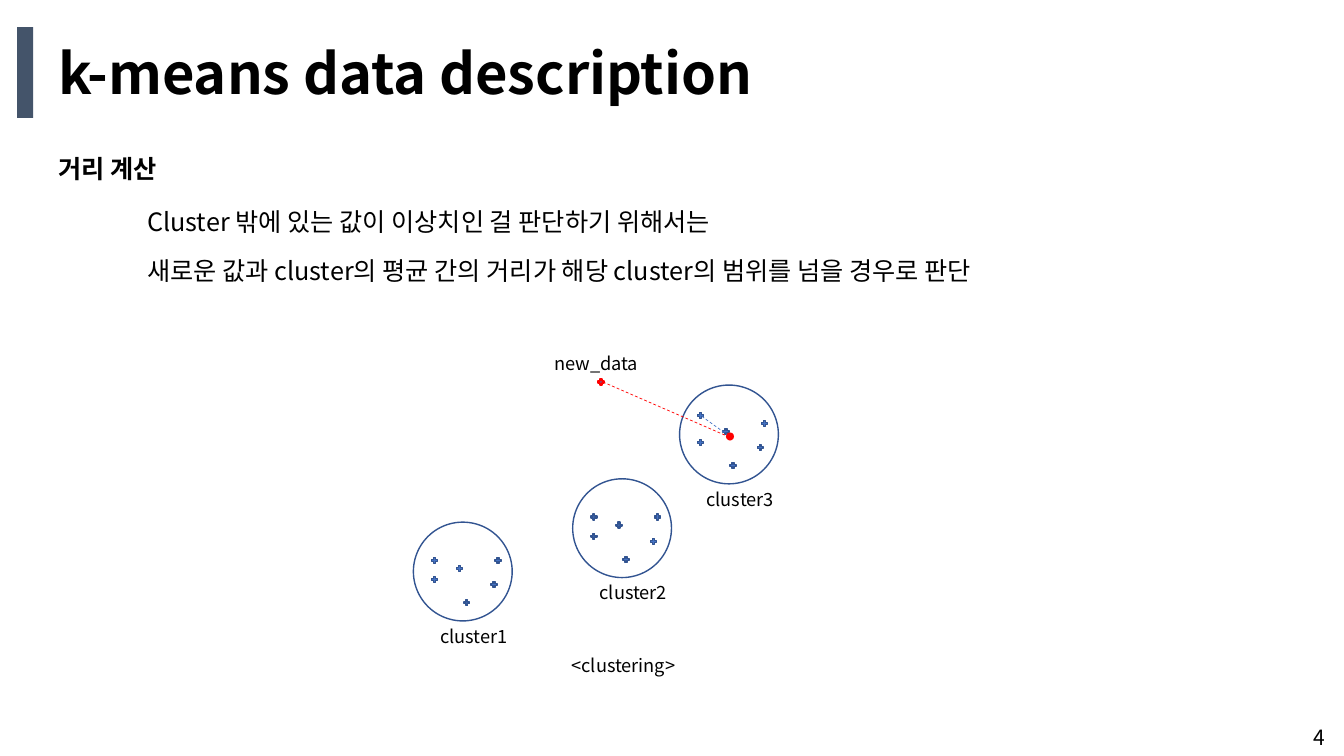
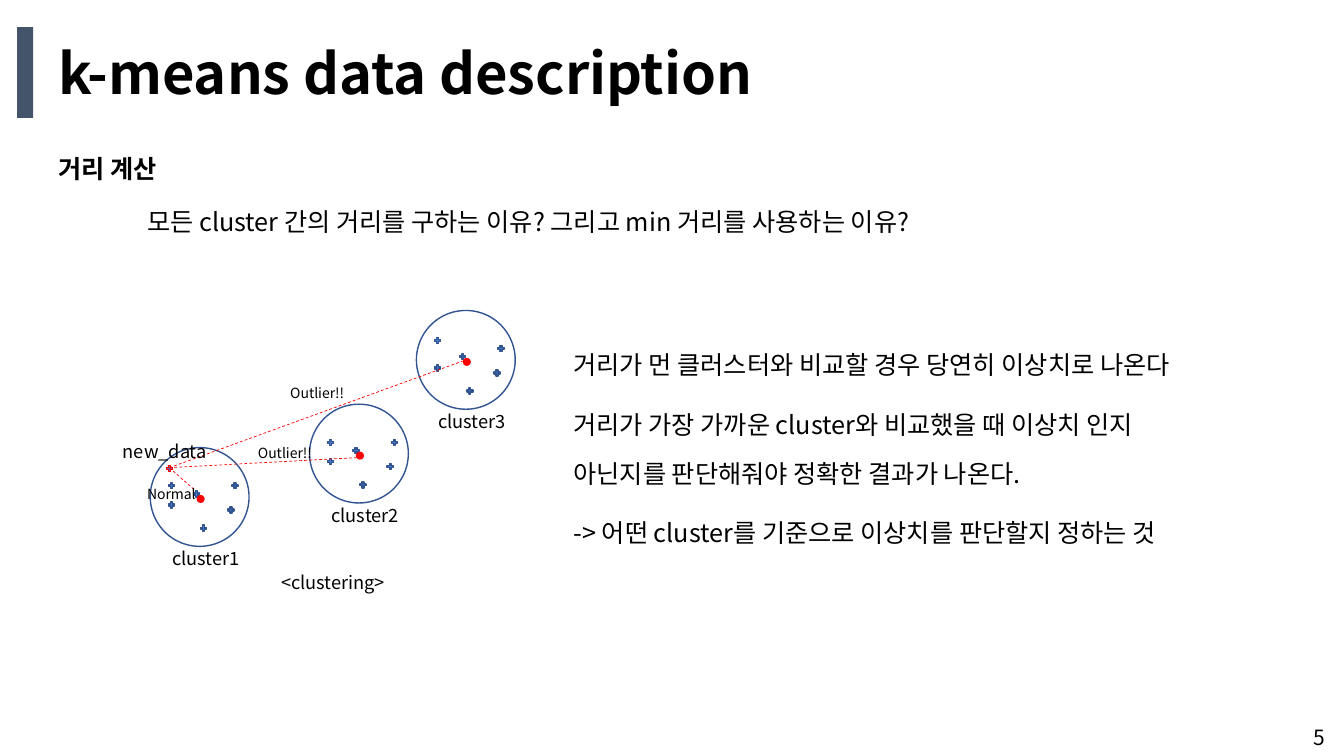
"""Build two slides on cluster distances for k-means outlier detection."""
from dataclasses import dataclass
from typing import NamedTuple

from lxml import etree
from pptx import Presentation
from pptx.dml.color import RGBColor
from pptx.enum import dml, shapes, text
from pptx.oxml import ns
from pptx.util import Inches, Pt

FONT = "Noto Sans CJK KR"
BLACK = RGBColor(0x00, 0x00, 0x00)
SLATE = RGBColor(0x44, 0x54, 0x6A)
BLUE = RGBColor(0x44, 0x72, 0xC4)
NAVY = RGBColor(0x32, 0x54, 0x91)
RED = RGBColor(0xFF, 0x00, 0x00)

LINE_GAP, TOPIC_GAP = 13, 21
CIRCLE, MARK = 0.98, 0.08
CENTER = (0.46, 0.47)
POINTS = [(0.49, 0.76), (0.8, 0.34), (0.76, 0.58), (0.42, 0.42), (0.17, 0.53)]


class Box(NamedTuple):
    left: float
    top: float
    width: float
    height: float


class Line(NamedTuple):
    words: str
    gap: float = 0


class Label(NamedTuple):
    words: str
    box: Box
    size: float = 13


class Ray(NamedTuple):
    start: tuple[float, float]
    end: tuple[float, float]
    color: RGBColor = RED


@dataclass(frozen=True)
class Cluster:
    name: str
    left: float
    top: float
    first_point: tuple[float, float] = (0.17, 0.34)


CLUSTERS = [
    Cluster("cluster1", 4.1, 5.18),
    Cluster("cluster2", 5.68, 4.75),
    Cluster("cluster3", 6.74, 3.82, (0.17, 0.26)),
]


@dataclass(frozen=True)
class Page:
    number: int
    body: list[Line]
    body_height: float
    shift: tuple[float, float]
    name_offset: tuple[float, float]
    centered: list[str]
    new_point: tuple[float, float]
    rays: list[Ray]
    labels: list[Label]


PAGES = [
    Page(
        number=4,
        body=[
            Line("Cluster 밖에 있는 값이 이상치인 걸 판단하기 위해서는"),
            Line("새로운 값과 cluster의 평균 간의 거리가 해당 cluster의 범위를 넘을 경우로 판단", LINE_GAP),
        ],
        body_height=0.88,
        shift=(0, 0),
        name_offset=(0.17, 0.97),
        centered=["cluster3"],
        new_point=(5.92, 3.75),
        rays=[
            Ray((5.98, 3.79), (7.22, 4.33)),
            Ray((6.96, 4.13), (7.21, 4.31), BLUE),
        ],
        labels=[
            Label("<clustering>", Box(5.57, 6.44, 2.69, 0.32)),
            Label("new_data", Box(5.4, 3.45, 1.12, 0.32)),
        ],
    ),
    Page(
        number=5,
        body=[Line("모든 cluster 간의 거리를 구하는 이유? 그리고 min 거리를 사용하는 이유?")],
        body_height=0.4,
        shift=(-2.61, -0.74),
        name_offset=(0.12, 0.94),
        centered=["cluster1", "cluster2", "cluster3"],
        new_point=(1.64, 4.61),
        rays=[
            Ray((1.68, 4.64), (4.65, 3.56)),
            Ray((1.68, 4.64), (3.54, 4.54)),
            Ray((1.68, 4.64), (1.94, 4.87)),
        ],
        labels=[
            Label("<clustering>", Box(2.69, 5.62, 2.69, 0.32)),
            Label("new_data", Box(1.12, 4.32, 1.12, 0.32)),
            Label("Outlier!!", Box(2.78, 3.77, 1.61, 0.27), 10),
            Label("Outlier!!", Box(2.46, 4.36, 1.61, 0.27), 10),
            Label("Normal", Box(1.36, 4.77, 1.61, 0.27), 10),
        ],
    ),
]

CONCLUSION = [
    Line("거리가 먼 클러스터와 비교할 경우 당연히 이상치로 나온다"),
    Line("거리가 가장 가까운 cluster와 비교했을 때 이상치 인지", TOPIC_GAP),
    Line("아닌지를 판단해줘야 정확한 결과가 나온다.", LINE_GAP),
    Line("-> 어떤 cluster를 기준으로 이상치를 판단할지 정하는 것", TOPIC_GAP),
]


def write(holder, lines: list[Line], size: float, bold: bool = False,
          align=text.PP_ALIGN.LEFT, anchor=text.MSO_ANCHOR.TOP) -> None:
    """Fill a text holder with unbulleted paragraphs in the deck's font."""
    frame = holder.text_frame
    frame.word_wrap = True
    frame.auto_size = text.MSO_AUTO_SIZE.NONE
    frame.vertical_anchor = anchor
    for index, line in enumerate(lines):
        paragraph = frame.paragraphs[0] if index == 0 else frame.add_paragraph()
        paragraph.text = line.words
        paragraph.alignment = align
        paragraph.space_before = Pt(line.gap)
        font = paragraph.font
        font.name, font.size, font.bold = FONT, Pt(size), bold
        font.color.rgb = BLACK
        properties = paragraph._p.get_or_add_pPr()
        properties.set("marL", "0")
        properties.set("indent", "0")
        defaults = properties.find(ns.qn("a:defRPr"))
        defaults.find(ns.qn("a:latin")).addnext(
            etree.Element(ns.qn("a:ea"), typeface=FONT))
        defaults.addprevious(etree.Element(ns.qn("a:buNone")))


def place(holder, box: Box) -> None:
    """Move a placeholder to a box given in inches."""
    holder.left, holder.top, holder.width, holder.height = map(Inches, box)


def add_text(slide, lines: list[Line], box: Box, size: float, **style) -> None:
    """Add a formatted text box."""
    write(slide.shapes.add_textbox(*map(Inches, box)), lines, size, **style)


def add_figure(slide, kind, box: Box, fill: RGBColor | None = None,
               outline: RGBColor | None = None) -> None:
    """Add a flat preset shape with optional fill and outline."""
    figure = slide.shapes.add_shape(kind, *map(Inches, box))
    figure.shadow.inherit = False
    if fill is None:
        figure.fill.background()
    else:
        figure.fill.solid()
        figure.fill.fore_color.rgb = fill
    if outline is None:
        figure.line.fill.background()
    else:
        figure.line.color.rgb = outline
        figure.line.width = Pt(1)


def add_point(slide, left: float, top: float, outline: RGBColor = NAVY) -> None:
    """Mark one data value with a plus sign."""
    add_figure(slide, shapes.MSO_SHAPE.MATH_PLUS, Box(left, top, MARK, MARK), BLUE, outline)


def add_ray(slide, ray: Ray) -> None:
    """Draw a dashed distance line."""
    distance = slide.shapes.add_connector(
        shapes.MSO_CONNECTOR.STRAIGHT, *map(Inches, ray.start + ray.end))
    distance.line.color.rgb = ray.color
    distance.line.width = Pt(0.5)
    distance.line.dash_style = dml.MSO_LINE.DASH
    etree.SubElement(distance._element.spPr, ns.qn("a:effectLst"))


def add_cluster(slide, cluster: Cluster, page: Page) -> None:
    """Draw a cluster's circle, values, mean and name."""
    left, top = cluster.left + page.shift[0], cluster.top + page.shift[1]
    add_figure(slide, shapes.MSO_SHAPE.OVAL, Box(left, top, CIRCLE, CIRCLE), outline=NAVY)
    for dx, dy in [cluster.first_point, *POINTS]:
        add_point(slide, left + dx, top + dy)
    if cluster.name in page.centered:
        mean = Box(left + CENTER[0], top + CENTER[1], MARK, MARK)
        add_figure(slide, shapes.MSO_SHAPE.OVAL, mean, RED)
    dx, dy = page.name_offset
    add_text(slide, [Line(cluster.name)], Box(left + dx, top + dy, 1.74, 0.32), 13)


def add_page(deck, page: Page):
    """Add a slide with the shared frame and its clustering diagram."""
    slide = deck.slides.add_slide(deck.slide_layouts[1])
    add_figure(slide, shapes.MSO_SHAPE.RECTANGLE, Box(0.17, 0.27, 0.16, 0.9), SLATE)
    title, body = slide.shapes.title, slide.placeholders[1]
    place(title, Box(0.48, 0.33, 8.78, 0.77))
    write(title, [Line("k-means data description")], 40, bold=True)
    place(body, Box(1.36, 2, 9.19, page.body_height))
    write(body, page.body, 18)
    add_text(slide, [Line("거리 계산")], Box(0.48, 1.47, 6.51, 0.4), 18, bold=True)
    add_text(slide, [Line(str(page.number))], Box(12.84, 7.12, 0.5, 0.38), 15,
             align=text.PP_ALIGN.CENTER, anchor=text.MSO_ANCHOR.MIDDLE)
    for cluster in CLUSTERS:
        add_cluster(slide, cluster, page)
    add_point(slide, *page.new_point, outline=RED)
    for ray in page.rays:
        add_ray(slide, ray)
    for label in page.labels:
        add_text(slide, [Line(label.words)], label.box, label.size)
    return slide


def main() -> None:
    """Build and save the deck."""
    deck = Presentation()
    deck.slide_width, deck.slide_height = Inches(13.33), Inches(7.5)
    _, reasons = [add_page(deck, page) for page in PAGES]
    add_text(reasons, CONCLUSION, Box(5.59, 3.42, 7.04, 2.09), 18)
    deck.save("out.pptx")


main()
